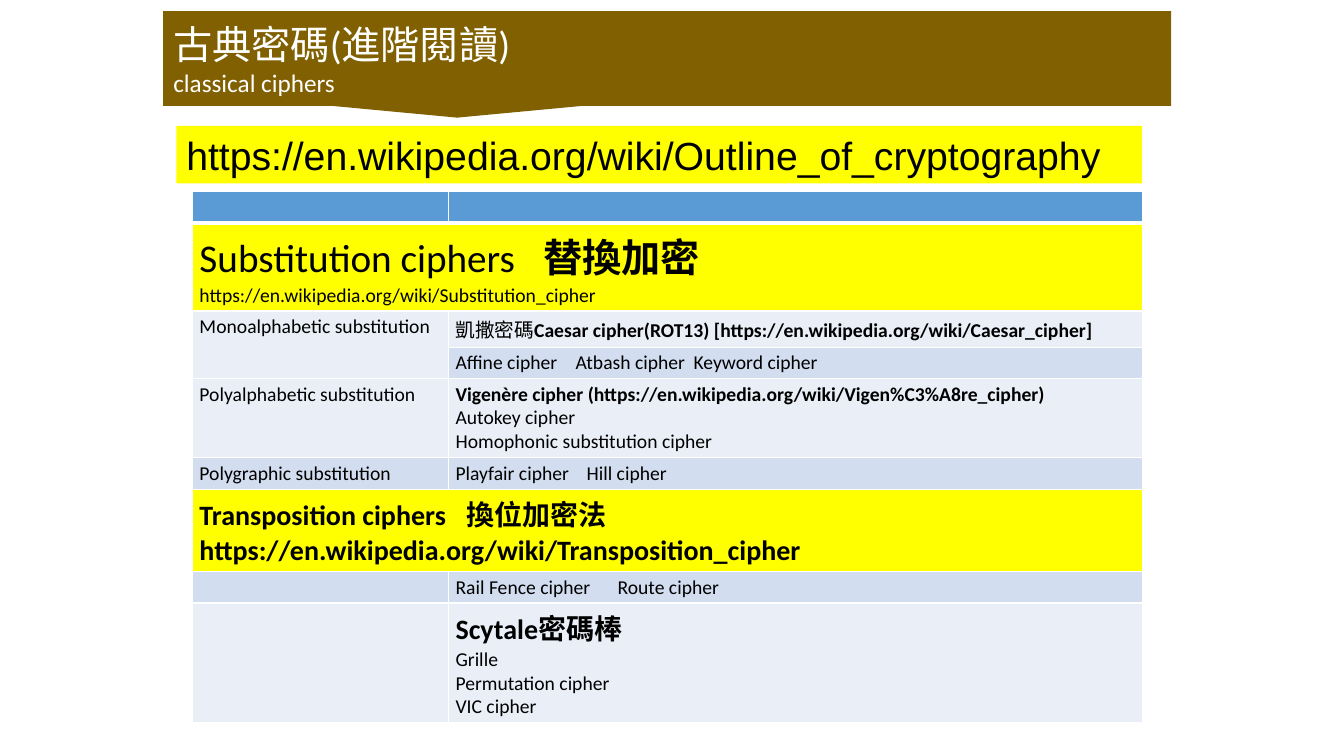
from dataclasses import dataclass

from lxml import etree
from pptx import Presentation
from pptx.dml.color import RGBColor
from pptx.enum.shapes import MSO_SHAPE
from pptx.enum.text import MSO_ANCHOR, MSO_AUTO_SIZE, PP_ALIGN
from pptx.oxml.ns import qn
from pptx.util import Pt

RECT, CALLOUT = MSO_SHAPE.RECTANGLE, MSO_SHAPE.RECTANGULAR_CALLOUT
LEFT, TOP, MIDDLE = PP_ALIGN.LEFT, MSO_ANCHOR.TOP, MSO_ANCHOR.MIDDLE
NO_FIT = MSO_AUTO_SIZE.NONE


@dataclass(frozen=True)
class Theme:
    brown: str = "806000"
    yellow: str = "FFFF00"
    blue: str = "5B9BD5"
    pale: str = "EAEFF7"
    mid: str = "D2DEEF"
    white: str = "FFFFFF"
    black: str = "000000"
    body_font: str = "Calibri"
    link_font: str = "Arial"
    cjk_font: str = "Noto Sans CJK SC"
    large: int = 28
    medium: int = 20
    subtitle: int = 18
    small: int = 14


T = Theme()
BIG = {"size": Pt(T.large)}
BOLD = {"bold": True}
STRONG = {"size": Pt(T.medium), "bold": True}
CJK = {"name": T.cjk_font}

COLUMNS = (182.9, 496.1)
ROW_HEIGHTS = (22.3, 55.4, 22.3, 22.3, 55.4, 22.3, 53.3, 22.3, 79.9)
ROW_FILLS = (T.blue, T.yellow, T.pale, T.mid, T.pale,
             T.mid, T.yellow, T.mid, T.pale)
MERGES = (((1, 0), (1, 1)), ((2, 0), (3, 0)), ((6, 0), (6, 1)))

# (row, column): paragraphs, each made of (text, format) runs
CELLS = {
    (1, 0): [[("Substitution ciphers\t", BIG), ("替換加密", BIG | BOLD)],
             [("https://en.wikipedia.org/wiki/Substitution_cipher", {})]],
    (2, 0): [[("Monoalphabetic substitution", {})]],
    (2, 1): [[("凱撒密碼", CJK),
              ("Caesar cipher(ROT13) "
               "[https://en.wikipedia.org/wiki/Caesar_cipher]", BOLD)]],
    (3, 1): [[("Affine cipher\tAtbash cipher\tKeyword cipher", {})]],
    (4, 0): [[("Polyalphabetic substitution", {})]],
    (4, 1): [[("Vigenère cipher "
               "(https://en.wikipedia.org/wiki/Vigen%C3%A8re_cipher)", BOLD)],
             [("Autokey cipher", {})],
             [("Homophonic substitution cipher", {})]],
    (5, 0): [[("Polygraphic substitution", {})]],
    (5, 1): [[("Playfair cipher\tHill cipher", {})]],
    (6, 0): [[("Transposition ciphers\t換位加密法", STRONG)],
             [("https://en.wikipedia.org/wiki/Transposition_cipher", STRONG)]],
    (7, 1): [[("Rail Fence cipher\tRoute cipher", {})]],
    (8, 1): [[("Scytale密碼棒", STRONG)],
             [("Grille", {})],
             [("Permutation cipher", {})],
             [("VIC cipher", {})]],
}
# Tab stops for the cells whose first line has columns
TABS = {(1, 0): (245.7,), (3, 1): (85.7, 170), (5, 1): (93.6,),
        (6, 0): (190.7,), (7, 1): (115.7,)}


def set_attrs(target, values):
    for name, value in values.items():
        setattr(target, name, value)


def add_run(p, text, color=T.black, **fmt):
    r = p.add_run()
    r.text = text
    base = {"name": T.body_font, "size": Pt(T.small), "bold": False}
    set_attrs(r.font, base | fmt)
    r.font.color.rgb = RGBColor.from_string(color)
    etree.SubElement(r.font._element, qn("a:ea"), typeface=T.cjk_font)


def add_tabs(p, stops):
    tabs = etree.SubElement(p._p.get_or_add_pPr(), qn("a:tabLst"))
    for stop in stops:
        etree.SubElement(tabs, qn("a:tab"), pos=str(Pt(stop)), algn="l")


def add_panel(s, kind, box, color):
    sp = s.shapes.add_shape(kind, *map(Pt, box))
    sp.shadow.inherit = False
    sp.fill.solid()
    sp.fill.fore_color.rgb = RGBColor.from_string(color)
    sp.line.fill.background()
    return sp


def add_title(s):
    box = (116.6, 7.9, 720, 67.7)
    callout = add_panel(s, CALLOUT, box, T.brown)
    title = s.shapes.title
    title.element.addprevious(callout.element)
    set_attrs(title, dict(zip(("left", "top", "width", "height"), map(Pt, box))))
    tf = title.text_frame
    set_attrs(tf, {"auto_size": NO_FIT, "word_wrap": True,
                   "vertical_anchor": MIDDLE})
    p = tf.paragraphs[0]
    p.alignment = LEFT
    add_run(p, "古典密碼(進階閱讀)", T.white, size=Pt(T.large))
    p.add_line_break()
    add_run(p, "classical ciphers", T.white, size=Pt(T.subtitle))


def add_link_bar(s):
    sp = add_panel(s, RECT, (126, 90, 689.8, 41), T.yellow)
    tf = sp.text_frame
    set_attrs(tf, {"word_wrap": True, "vertical_anchor": TOP})
    p = tf.paragraphs[0]
    p.alignment = LEFT
    add_run(p, "https://en.wikipedia.org/wiki/Outline_of_cryptography",
            name=T.link_font, size=Pt(T.large))


def set_borders(cell, bottom):
    tc_pr = cell._tc.get_or_add_tcPr()
    for side, width in (("L", 1), ("R", 1), ("T", 1), ("B", bottom)):
        ln = etree.SubElement(tc_pr, qn(f"a:ln{side}"), w=str(Pt(width)))
        fill = etree.SubElement(ln, qn("a:solidFill"))
        etree.SubElement(fill, qn("a:srgbClr"), val=T.white)


def fill_cell(cell, color, paragraphs, stops, bottom):
    set_borders(cell, bottom)
    cell.fill.solid()
    cell.fill.fore_color.rgb = RGBColor.from_string(color)
    set_attrs(cell, {"margin_left": Pt(5), "margin_right": Pt(5),
                     "margin_top": Pt(2.7), "margin_bottom": Pt(2.7),
                     "vertical_anchor": TOP})
    tf = cell.text_frame
    for i, runs in enumerate(paragraphs):
        p = tf.paragraphs[0] if i == 0 else tf.add_paragraph()
        if i == 0 and stops:
            add_tabs(p, stops)
        for text, fmt in runs:
            add_run(p, text, **fmt)
    if not paragraphs:  # keeps an empty row at the small text height
        etree.SubElement(tf.paragraphs[0]._p, qn("a:endParaRPr"),
                         sz=str(T.small * 100))


def add_cipher_table(s):
    frame = s.shapes.add_table(len(ROW_HEIGHTS), len(COLUMNS), Pt(137.5),
                               Pt(136.8), Pt(sum(COLUMNS)), Pt(sum(ROW_HEIGHTS)))
    table = frame.table
    set_attrs(table, {"first_row": False, "horz_banding": False})
    for col, width in zip(table.columns, COLUMNS):
        col.width = Pt(width)
    for start, end in MERGES:
        table.cell(*start).merge(table.cell(*end))
    for i, (height, color) in enumerate(zip(ROW_HEIGHTS, ROW_FILLS)):
        table.rows[i].height = Pt(height)
        for j in range(len(COLUMNS)):
            fill_cell(table.cell(i, j), color, CELLS.get((i, j), []),
                      TABS.get((i, j)), 3 if i == 0 else 1)


def main():
    prs = Presentation()
    prs.slide_width, prs.slide_height = Pt(960), Pt(540)
    s = prs.slides.add_slide(prs.slide_layouts[5])
    add_cipher_table(s)
    add_link_bar(s)
    add_title(s)
    prs.save("out.pptx")


if __name__ == "__main__":
    main()
